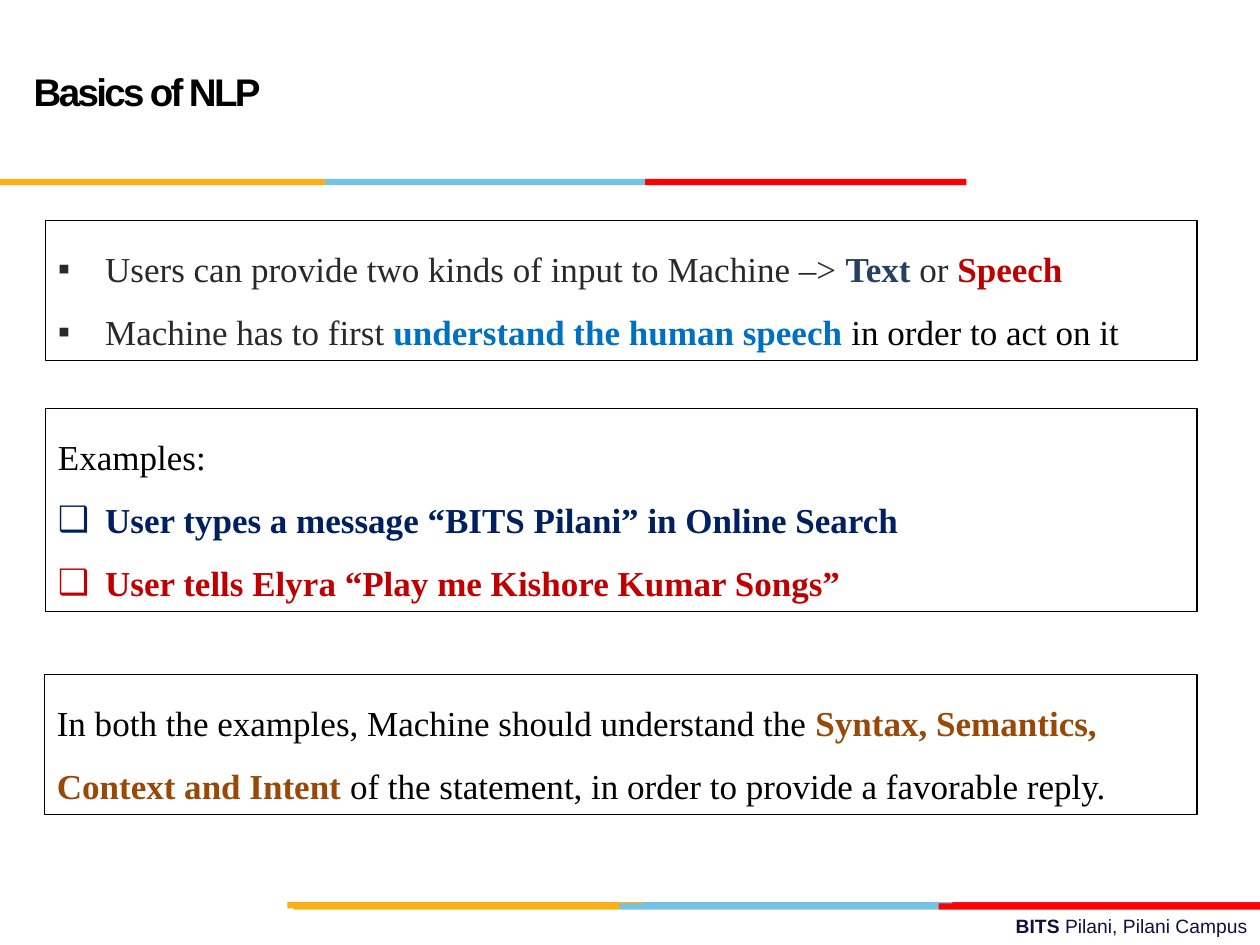
import pptx
import pptx.util
import pptx.dml.color
import pptx.enum.shapes
import pptx.enum.text
import pptx.oxml
import pptx.oxml.ns
import lxml.etree

Pt = pptx.util.Pt
RGB = pptx.dml.color.RGBColor
ALIGN = pptx.enum.text.PP_ALIGN
ANCHOR = pptx.enum.text.MSO_ANCHOR
RECT = pptx.enum.shapes.MSO_SHAPE.RECTANGLE

BLACK = RGB(0, 0, 0)
CHARCOAL = RGB(0x29, 0x29, 0x29)
INDIGO = RGB(0x10, 0x11, 0x41)
SLATE = RGB(0x25, 0x40, 0x61)
NAVY = RGB(0x00, 0x20, 0x60)
BLUE = RGB(0x00, 0x70, 0xC0)
CRIMSON = RGB(0xC0, 0, 0)
BROWN = RGB(0x98, 0x48, 0x07)
ORANGE = RGB(0xFC, 0xB0, 0x17)
SKY = RGB(0x76, 0xC2, 0xE5)
RED = RGB(0xFF, 0, 0)
DARK_RED = RGB(0xE3, 0x1C, 0x24)


def run(p, text, font="Times New Roman", size=20, color=BLACK, bold=False, spacing=None):
    r = p.add_run()
    r.text = text
    r.font.name = font
    r.font.size = Pt(size)
    r.font.color.rgb = color
    r.font.bold = bold
    if spacing is not None:
        r.font._element.set("spc", str(int(spacing * 100)))


def bullet(p, char, indent=27):
    """Give a paragraph a bullet character with a hanging indent."""
    pPr = p._p.get_or_add_pPr()
    pPr.set("marL", str(Pt(indent)))
    pPr.set("indent", str(-Pt(indent)))
    for tag, key, value in (("a:buFont", "typeface", "Arial"), ("a:buChar", "char", char)):
        lxml.etree.SubElement(pPr, pptx.oxml.ns.qn(tag)).set(key, value)


class Deck:
    BAR_HEIGHT = 3.6

    def __init__(self, width, height):
        self.prs = pptx.Presentation()
        self.prs.slide_width, self.prs.slide_height = Pt(width), Pt(height)
        self.s = self.prs.slides.add_slide(self.prs.slide_layouts[6])

    def rect(self, x, y, w, h):
        sp = self.s.shapes.add_shape(RECT, Pt(x), Pt(y), Pt(w), Pt(h))
        sp.shadow.inherit = False
        return sp

    def bar(self, x, y, w, color):
        sp = self.rect(x, y, w, self.BAR_HEIGHT)
        sp.fill.solid()
        sp.fill.fore_color.rgb = color
        sp.line.fill.background()

    def strip(self, y, edges, colors):
        """Draw adjoining bars between successive edges."""
        for x, end, color in zip(edges, edges[1:], colors):
            self.bar(x, y, end - x, color)

    def text(self, x, y, w, h, runs, align=ALIGN.LEFT, anchor=ANCHOR.TOP, leading=None):
        tf = self.s.shapes.add_textbox(Pt(x), Pt(y), Pt(w), Pt(h)).text_frame
        tf.word_wrap = True
        tf.vertical_anchor = anchor
        p = tf.paragraphs[0]
        p.alignment = align
        if leading:
            p.line_spacing = Pt(leading)
        for words, style in runs:
            run(p, words, **style)

    def box(self, x, y, w, h, paragraphs):
        """Draw an outlined box; each paragraph is (bullet or None, runs)."""
        sp = self.rect(x, y, w, h)
        sp.fill.background()
        sp.line.color.rgb = BLACK
        sp.line.width = Pt(0.75)
        tf = sp.text_frame
        tf.word_wrap = True
        tf.vertical_anchor = ANCHOR.TOP
        for i, (char, runs) in enumerate(paragraphs):
            p = tf.add_paragraph() if i else tf.paragraphs[0]
            p.alignment = ALIGN.LEFT
            p.line_spacing = 1.5
            if char:
                bullet(p, char)
            for words, color, bold in runs:
                run(p, words, color=color, bold=bold)


def main():
    deck = Deck(720, 540)

    footer = dict(font="Arial", size=11, color=INDIGO)
    deck.text(257.8, 519.1, 462.2, 20.9,
              [("BITS ", dict(footer, bold=True)), ("Pilani, Pilani Campus", footer)],
              align=ALIGN.RIGHT)

    deck.bar(364.3, 515.5, 183.6, SKY)
    deck.bar(544.3, 515.5, 175.7, DARK_RED)
    deck.bar(164.2, 515.5, 203, ORANGE)
    colors = (ORANGE, SKY, RED)
    deck.strip(516.2, (167.8, 354, 536.4, 720), colors)
    deck.strip(102.2, (0, 185.8, 368.6, 552.2), colors)

    deck.text(12.2, 2.2, 498.2, 90,
              [("Basics of NLP", dict(font="Arial", size=22, bold=True, spacing=-1.5))],
              anchor=ANCHOR.MIDDLE, leading=36)

    deck.box(26, 126, 658, 80, [
        ("▪", [("Users can provide two kinds of input to Machine –> ", CHARCOAL, False),
               ("Text", SLATE, True),
               (" or ", CHARCOAL, False),
               ("Speech", CRIMSON, True)]),
        ("▪", [("Machine has to first ", CHARCOAL, False),
               ("understand the human speech ", BLUE, True),
               ("in order to act on it", BLACK, False)]),
    ])
    deck.box(26, 233.3, 658, 116, [
        (None, [("Examples:", BLACK, False)]),
        ("❑", [("User types a message “BITS Pilani” in Online Search", NAVY, True)]),
        ("❑", [("User tells Elyra “Play me Kishore Kumar Songs”", CRIMSON, True)]),
    ])
    deck.box(25.4, 385.6, 658.6, 80, [
        (None, [("In both the examples, Machine should understand the ", BLACK, False),
                ("Syntax, Semantics, Context and Intent", BROWN, True),
                (" of the statement, in order to provide a favorable reply.", BLACK, False)]),
    ])

    deck.prs.save("out.pptx")


if __name__ == "__main__":
    main()
